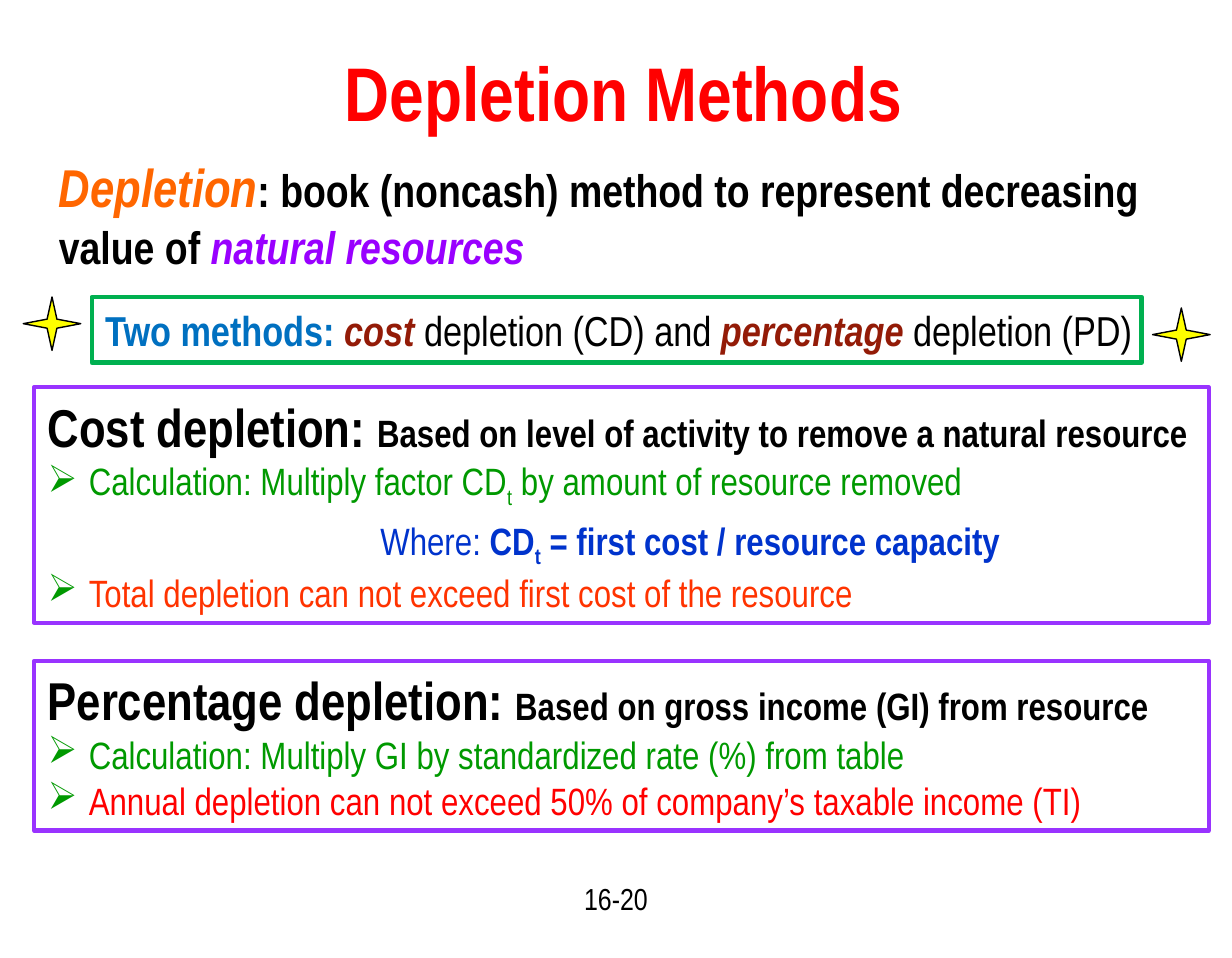
from lxml.etree import SubElement
from pptx import Presentation
from pptx.dml.color import RGBColor
from pptx.enum.shapes import MSO_SHAPE as Shape
from pptx.enum.text import MSO_ANCHOR as Anchor, MSO_AUTO_SIZE as AutoSize, PP_ALIGN as Align
from pptx.oxml.ns import qn
from pptx.util import Inches, Pt

FONT = "Arial Narrow"
BLACK, RED, GREEN, BLUE = "000000", "FF0000", "009900", "0033CC"
ORANGE, SCARLET, BROWN = "FF6600", "FF3300", "931B07"
VIOLET, FRAME_VIOLET, FRAME_GREEN = "9900FF", "9933FF", "00B050"
SKY, YELLOW = "0070C0", "FFFF00"


def paint(color_owner, color):
    """Colour a font, or a fill that has been made solid."""
    target = color_owner.color if hasattr(color_owner, "color") else color_owner.fore_color
    target.rgb = RGBColor.from_string(color)


def add_words(paragraph, words, size, color, bold=False, italic=False, subscript=False):
    run = paragraph.add_run()
    run.text = words
    font = run.font
    font.name, font.size, font.bold, font.italic = FONT, Pt(size), bold, italic
    paint(font, color)
    if subscript:
        run._r.get_or_add_rPr().set("baseline", "-25000")


def indent(paragraph, left, bullet=None):
    """Set the left margin; a bullet hangs in front of it."""
    properties = paragraph._p.get_or_add_pPr()
    properties.set("marL", str(Inches(left)))
    properties.set("indent", str(-Inches(left) if bullet else 0))
    if bullet:
        bullet_color = SubElement(properties, qn("a:buClr"))
        SubElement(bullet_color, qn("a:srgbClr")).set("val", GREEN)
        SubElement(properties, qn("a:buChar")).set("char", bullet)
    else:
        SubElement(properties, qn("a:buNone"))


def place(shape, box):
    shape.left, shape.top, shape.width, shape.height = (Inches(length) for length in box)


def prepare_text(shape, anchor=Anchor.TOP, wrap=True):
    frame = shape.text_frame
    frame.word_wrap, frame.auto_size = wrap, AutoSize.NONE
    frame.vertical_anchor = anchor
    frame.margin_left = frame.margin_right = Inches(0.1)
    frame.margin_top = frame.margin_bottom = Inches(0.05)
    return frame


def add_frame(slide, box, color):
    frame = slide.shapes.add_shape(Shape.RECTANGLE, *(Inches(length) for length in box))
    frame.shadow.inherit = False
    frame.fill.background()
    frame.line.width = Pt(2.25)
    paint(frame.line, color)
    return frame


def add_title(slide, box):
    title = slide.shapes.title
    place(title, box)
    paragraph = prepare_text(title, Anchor.MIDDLE).paragraphs[0]
    paragraph.alignment = Align.CENTER
    add_words(paragraph, "Depletion Methods", 40, RED, bold=True)


def add_definition(slide, box):
    definition = slide.placeholders[1]
    place(definition, box)
    paragraph = prepare_text(definition).paragraphs[0]
    paragraph.space_before = Pt(0)
    indent(paragraph, 0)
    add_words(paragraph, "Depletion", 28, ORANGE, bold=True, italic=True)
    add_words(paragraph, ": book (noncash) method to represent decreasing value of ",
              24, BLACK, bold=True)
    add_words(paragraph, "natural resources", 24, VIOLET, bold=True, italic=True)


def add_star(slide, left, top):
    star = slide.shapes.add_shape(Shape.STAR_4_POINT, Inches(left), Inches(top),
                                  Inches(0.42), Inches(0.39))
    star.adjustments[0] = 0.12
    star.shadow.inherit = False
    star.fill.solid()
    paint(star.fill, YELLOW)
    star.line.width = Pt(0.75)
    paint(star.line, BLACK)


def add_two_methods(slide, box):
    left, top, width, _ = box
    banner = add_frame(slide, box, FRAME_GREEN)
    paragraph = prepare_text(banner, Anchor.MIDDLE, wrap=False).paragraphs[0]
    paragraph.alignment = Align.LEFT
    add_words(paragraph, "Two methods: ", 22, SKY, bold=True)
    add_words(paragraph, "cost", 22, BROWN, bold=True, italic=True)
    add_words(paragraph, " depletion (CD) and ", 22, BLACK)
    add_words(paragraph, "percentage", 22, BROWN, bold=True, italic=True)
    add_words(paragraph, " depletion (PD)", 22, BLACK)
    add_star(slide, left - 0.5, top)
    add_star(slide, left + width + 0.08, top + 0.08)


def add_method(slide, box, name, basis, points):
    """Draw a framed method; each point is (bulleted, list of add_words arguments)."""
    frame = prepare_text(add_frame(slide, box, FRAME_VIOLET))
    heading = frame.paragraphs[0]
    heading.alignment = Align.LEFT
    add_words(heading, name, 28, BLACK, bold=True)
    add_words(heading, basis, 20, BLACK, bold=True)
    for bulleted, parts in points:
        paragraph = frame.add_paragraph()
        paragraph.alignment = Align.LEFT
        if bulleted:
            indent(paragraph, 0.3, "➢")
        else:
            paragraph.space_before = Pt(4)
            indent(paragraph, 2.43)
        for words, color, *style in parts:
            add_words(paragraph, words, 20, color, *style)


def add_page_number(slide, box):
    number = slide.shapes.add_textbox(*(Inches(length) for length in box))
    paragraph = prepare_text(number).paragraphs[0]
    paragraph.alignment = Align.CENTER
    add_words(paragraph, "16-20", 16, BLACK)


def main():
    deck = Presentation()
    deck.slide_width, deck.slide_height = Inches(9), Inches(7)
    slide = deck.slides.add_slide(deck.slide_layouts[1])
    add_title(slide, (1.14, 0.25, 6.83, 0.83))
    add_definition(slide, (0.33, 1.08, 8.25, 1))
    add_two_methods(slide, (0.67, 2.17, 7.67, 0.48))
    add_method(slide, (0.25, 2.83, 8.58, 1.72), "Cost depletion: ",
               "Based on level of activity to remove a natural resource", [
                   (True, [("Calculation: Multiply factor CD", GREEN),
                           ("t", GREEN, False, False, True),
                           (" by amount of resource removed", GREEN)]),
                   (False, [("Where: ", BLUE), ("CD", BLUE, True),
                            ("t", BLUE, True, False, True),
                            (" = first cost / resource capacity", BLUE, True)]),
                   (True, [("Total depletion can not exceed first cost of the resource",
                            SCARLET)])])
    add_method(slide, (0.25, 4.83, 8.58, 1.24), "Percentage depletion: ",
               "Based on gross income (GI) from resource", [
                   (True, [("Calculation: Multiply GI by standardized rate (%) from table",
                            GREEN)]),
                   (True, [("Annual depletion can not exceed 50% of company’s taxable income (TI)",
                            RED)])])
    add_page_number(slide, (3.9, 6.38, 1.2, 0.47))
    deck.save("out.pptx")


if __name__ == "__main__":
    main()
